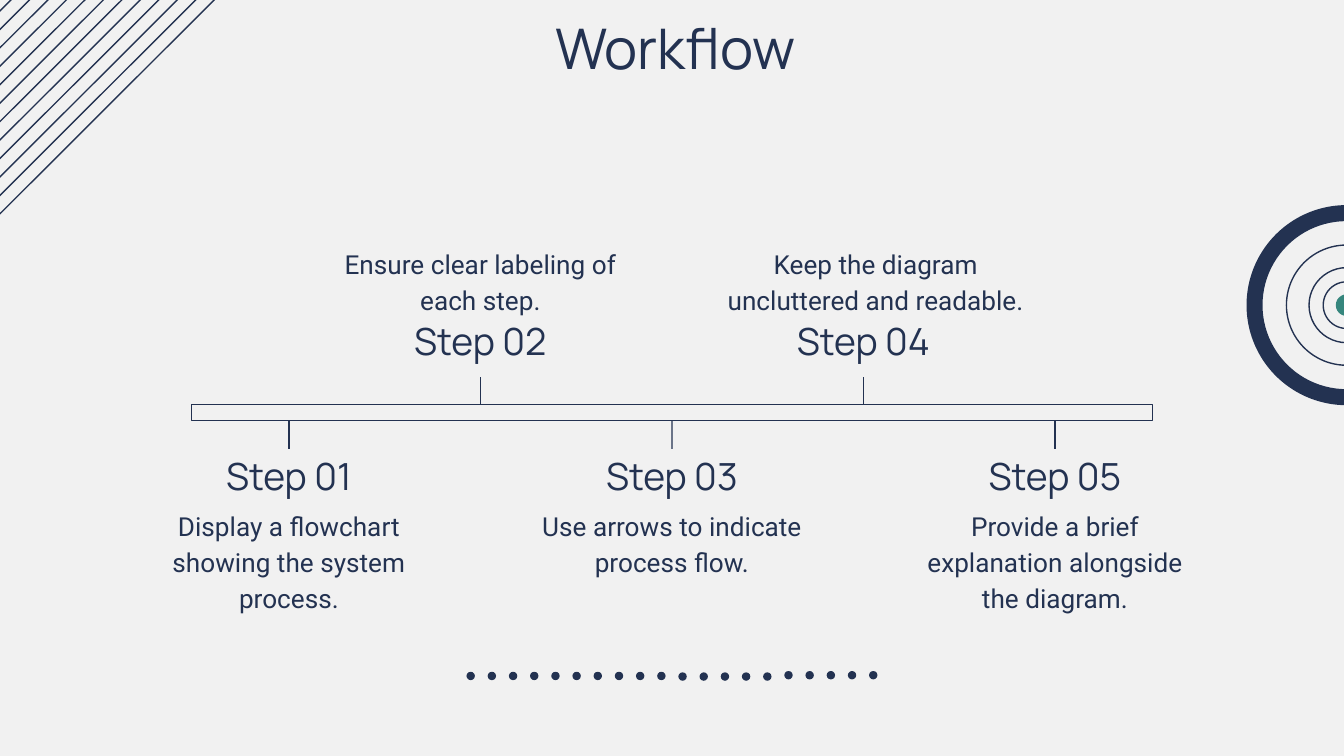
from pptx import Presentation
from pptx.dml.color import RGBColor
from pptx.enum.shapes import MSO_CONNECTOR, MSO_SHAPE
from pptx.enum.text import MSO_ANCHOR, MSO_AUTO_SIZE, PP_ALIGN
from pptx.oxml.ns import qn
from pptx.util import Pt
from lxml.etree import SubElement
from dataclasses import dataclass


@dataclass(frozen=True)
class Theme:
    paper: RGBColor = RGBColor(0xF1, 0xF1, 0xF1)
    ink: RGBColor = RGBColor(0x23, 0x32, 0x51)
    accent: RGBColor = RGBColor(0x36, 0x86, 0x7D)
    heading_font: str = "Manrope"
    body_font: str = "Roboto"
    title_size: int = 30
    step_size: int = 20
    body_size: int = 14
    line_width: float = 0.75


THEME = Theme()

TITLE = "Workflow"
STEPS = [
    ("Step 01", "Display a flowchart showing the system process."),
    ("Step 02", "Ensure clear labeling of each step."),
    ("Step 03", "Use arrows to indicate process flow."),
    ("Step 04", "Keep the diagram uncluttered and readable."),
    ("Step 05", "Provide a brief explanation alongside the diagram."),
]
WIDER_NOTES = {"Step 04": 13}

PAGE_WIDTH, PAGE_HEIGHT = 720, 405
BAR_LEFT, BAR_TOP, BAR_WIDTH, BAR_HEIGHT = 102.6, 216.8, 514.8, 8.6
BAR_BOTTOM = BAR_TOP + BAR_HEIGHT
FIRST_CENTER, STEP_PITCH, STEP_WIDTH = 154.8, 102.6, 168.5
ABOVE = {"stem": (202, BAR_TOP), "heading": 168.3, "note": 123.6}
BELOW = {"stem": (240.5, BAR_BOTTOM), "heading": 240.5, "note": 263.5}
HEADING_HEIGHT, NOTE_HEIGHT = 33.5, 47.5

STRIPE_COUNT, STRIPE_LEFT, STRIPE_PITCH = 12, -2.9, 9.9
STRIPE_TOP, STRIPE_BOTTOM, STRIPE_WIDTH = -39.6, 117.4, 157.3
DOT_TOPS = [359.9] * 10 + [360.2] * 5 + [359.5] * 5
DOT_LEFT, DOT_PITCH, DOT_SIZE = 249.9, 11.35, 4.5
TARGET_CENTER = (721.4, 163.5)
RING_DIAMETERS = [64.4, 40.2, 25]
BULLSEYE_DIAMETER, RIM_DIAMETER, RIM_RATIO = 11.6, 107.2, 0.08


def add_line(page, start, end):
    line = page.shapes.add_connector(
        MSO_CONNECTOR.STRAIGHT, *(Pt(value) for value in (*start, *end)))
    line.line.color.rgb = THEME.ink
    line.line.width = Pt(THEME.line_width)
    SubElement(line._element.spPr, qn("a:effectLst"))
    return line


def add_form(page, kind, left, top, width, height, fill=None):
    form = page.shapes.add_shape(kind, Pt(left), Pt(top), Pt(width), Pt(height))
    form.shadow.inherit = False
    if fill is None:
        form.fill.background()
        form.line.color.rgb = THEME.ink
        form.line.width = Pt(THEME.line_width)
    else:
        form.fill.solid()
        form.fill.fore_color.rgb = fill
        form.line.fill.background()
    return form


def add_target_part(page, kind, diameter, fill=None):
    left, top = (center - diameter / 2 for center in TARGET_CENTER)
    return add_form(page, kind, left, top, diameter, diameter, fill)


def write(box, text, font, size, anchor=MSO_ANCHOR.TOP, spacing=None):
    frame = box.text_frame
    frame.word_wrap = True
    frame.auto_size = MSO_AUTO_SIZE.NONE
    frame.vertical_anchor = anchor
    frame.margin_left = frame.margin_right = Pt(7.2)
    frame.margin_top = frame.margin_bottom = Pt(7.2)
    para = frame.paragraphs[0]
    para.alignment = PP_ALIGN.CENTER
    para.line_spacing = spacing
    span = para.add_run()
    span.text = text
    span.font.name = font
    span.font.size = Pt(size)
    span.font.color.rgb = THEME.ink


def add_decoration(page):
    for index in range(STRIPE_COUNT):
        left = STRIPE_LEFT - index * STRIPE_PITCH
        add_line(page, (left, STRIPE_BOTTOM), (left + STRIPE_WIDTH, STRIPE_TOP))
    for index, top in enumerate(DOT_TOPS):
        add_form(page, MSO_SHAPE.OVAL, DOT_LEFT + index * DOT_PITCH, top,
                 DOT_SIZE, DOT_SIZE, THEME.ink)
    for diameter in RING_DIAMETERS:
        add_target_part(page, MSO_SHAPE.OVAL, diameter)
    add_target_part(page, MSO_SHAPE.OVAL, BULLSEYE_DIAMETER, THEME.accent)
    rim = add_target_part(page, MSO_SHAPE.DONUT, RIM_DIAMETER, THEME.ink)
    rim.adjustments[0] = RIM_RATIO


def add_title(page):
    title = page.shapes.title
    title.left, title.top, title.width, title.height = (
        Pt(value) for value in (70.6, 0, 582.5, 45.4))
    write(title, TITLE, THEME.heading_font, THEME.title_size)


def add_timeline(page):
    bar = add_form(page, MSO_SHAPE.RECTANGLE,
                   BAR_LEFT, BAR_TOP, BAR_WIDTH, BAR_HEIGHT)
    for index, (heading, note) in enumerate(STEPS):
        center = FIRST_CENTER + index * STEP_PITCH
        left = center - STEP_WIDTH / 2
        side = ABOVE if index % 2 else BELOW
        outer, inner = side["stem"]
        stem = add_line(page, (center, outer), (center, inner))
        if index == len(STEPS) // 2:
            stem.end_connect(bar, 2)
        box = page.shapes.add_textbox(
            Pt(left), Pt(side["heading"]), Pt(STEP_WIDTH), Pt(HEADING_HEIGHT))
        write(box, heading, THEME.heading_font, THEME.step_size,
              MSO_ANCHOR.BOTTOM)
        box = page.shapes.add_textbox(
            Pt(left), Pt(side["note"]),
            Pt(STEP_WIDTH + WIDER_NOTES.get(heading, 0)), Pt(NOTE_HEIGHT))
        write(box, note, THEME.body_font, THEME.body_size, spacing=1.15)


def main():
    deck = Presentation()
    deck.slide_width, deck.slide_height = Pt(PAGE_WIDTH), Pt(PAGE_HEIGHT)
    page = deck.slides.add_slide(deck.slide_layouts[5])
    page.background.fill.solid()
    page.background.fill.fore_color.rgb = THEME.paper
    add_decoration(page)
    add_title(page)
    add_timeline(page)
    deck.save("out.pptx")


if __name__ == "__main__":
    main()
